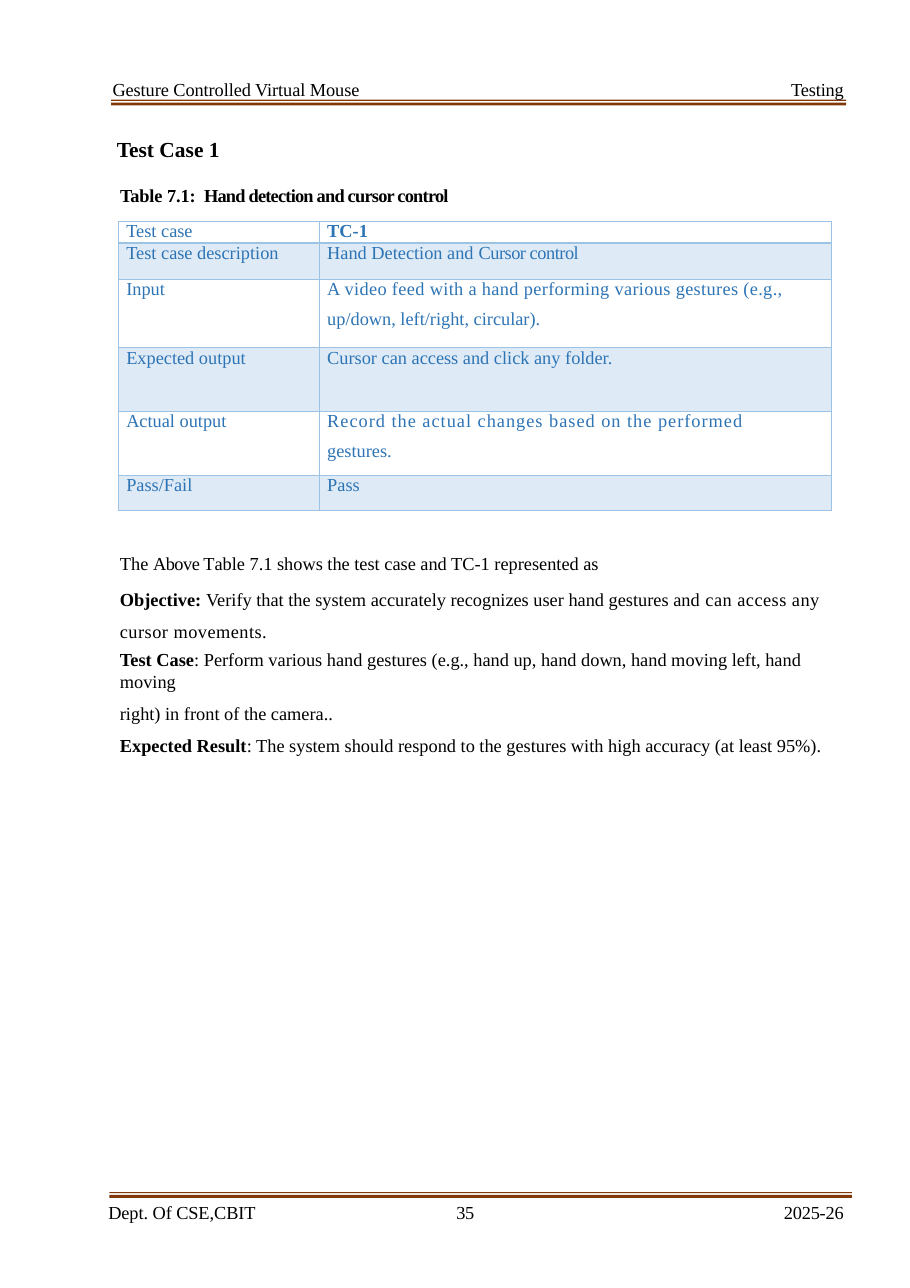
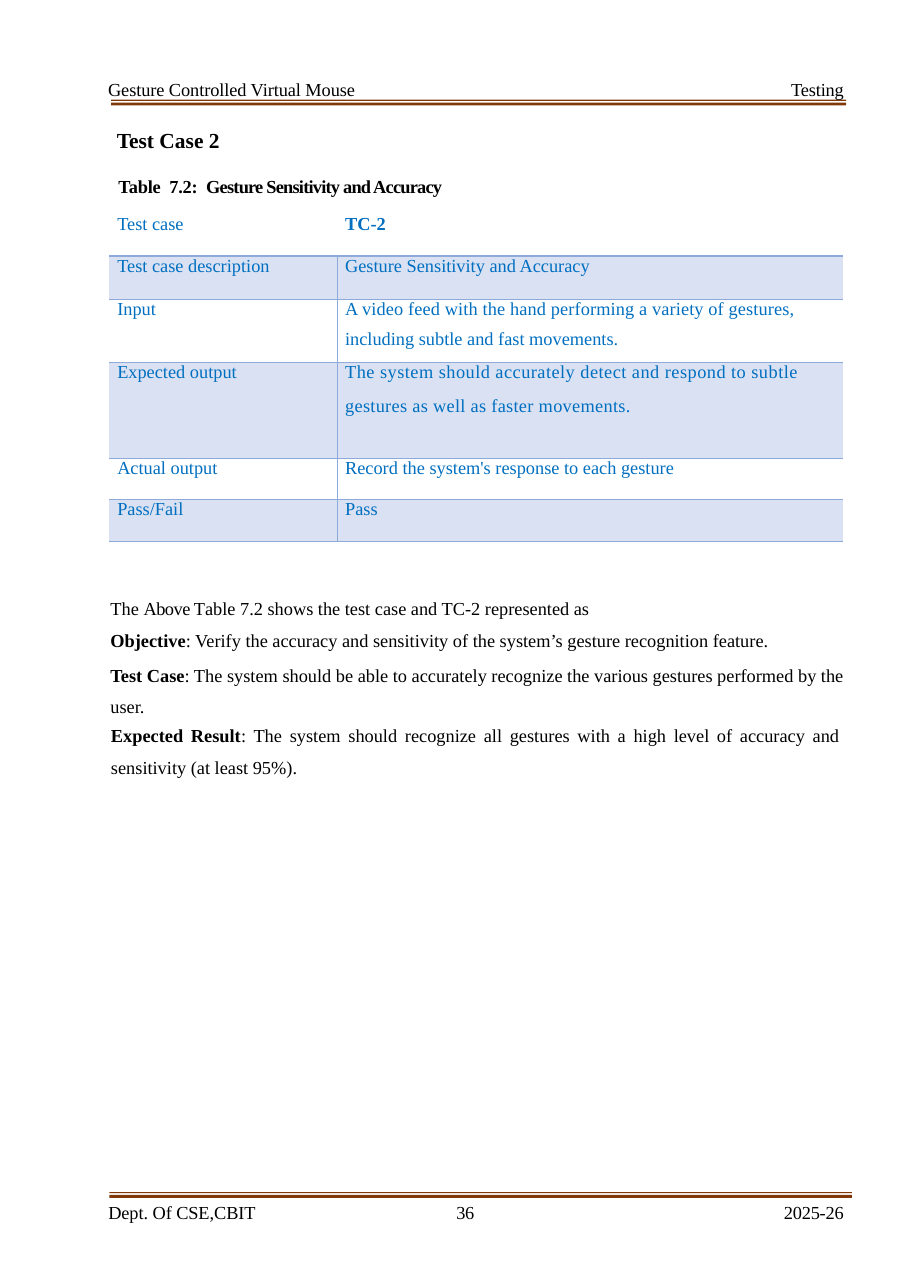
from lxml import etree
from pptx import Presentation
from pptx.dml.color import RGBColor
from pptx.enum import shapes, text
from pptx.oxml import ns
from pptx.util import Pt

LEFT, RIGHT = text.PP_ALIGN.LEFT, text.PP_ALIGN.RIGHT
CENTER, JUSTIFY = text.PP_ALIGN.CENTER, text.PP_ALIGN.JUSTIFY
LINE = 20.8  # line pitch of running text


def color(code):
    return RGBColor.from_string(code)


def write(paragraph, content, size=12, ink="000000", bold=False, spacing=0,
          align=LEFT, before=0, pitch=None):
    """Fill a paragraph with a string or with (string, run format) pairs."""
    paragraph.alignment = align
    paragraph.space_before = Pt(before)
    if pitch:
        paragraph.line_spacing = Pt(pitch)
    for words, own in [(content, {})] if isinstance(content, str) else content:
        run = paragraph.add_run()
        run.text = words
        font = run.font
        font.name, font.size = Page.FONT, Pt(size)
        font.bold = own.get("bold", bold)
        font.color.rgb = color(ink)
        run._r.get_or_add_rPr().set("spc", str(round(own.get("spacing", spacing) * 100)))


def border(cell, side, line):
    """Draw one cell edge; line is (colour, width) or None."""
    edge = etree.SubElement(cell._tc.get_or_add_tcPr(), ns.qn(f"a:ln{side}"))
    if line is None:
        etree.SubElement(edge, ns.qn("a:noFill"))
        return
    code, width = line
    edge.set("w", str(Pt(width)))
    paint = etree.SubElement(edge, ns.qn("a:solidFill"))
    etree.SubElement(paint, ns.qn("a:srgbClr")).set("val", code)


class Page:
    FONT = "Times New Roman"
    RULE = "823909"
    EDGE = 551.8  # right edge of header and footer text

    def __init__(self, deck, number, title_left):
        self.slide = deck.slides.add_slide(deck.slide_layouts[6])
        # Header
        self.rules(72.7, 65.2, 480.5)
        self.line(title_left, 51.3, 180, "Gesture Controlled Virtual Mouse", spacing=-0.05)
        self.line(self.EDGE - 80, 51.3, 80, "Testing", spacing=-0.1, align=RIGHT)
        # Footer
        self.rules(71.5, 779.3, 485.5)
        self.line(70.8, 785.1, 140, "Dept. Of CSE,CBIT", spacing=-0.05)
        self.line(284.2, 785.1, 40, str(number), spacing=-0.2, align=CENTER)
        self.line(self.EDGE - 80, 785.1, 80, "2025-26", spacing=-0.1, align=RIGHT)

    def rules(self, left, top, width):
        """A thin rule above a thick one."""
        for offset, height in ((0, 0.7), (1.9, 1.9)):
            rule = self.slide.shapes.add_shape(
                shapes.MSO_SHAPE.RECTANGLE, Pt(left), Pt(top + offset), Pt(width), Pt(height))
            rule.shadow.inherit = False
            rule.fill.solid()
            rule.fill.fore_color.rgb = color(self.RULE)
            rule.line.fill.background()

    def block(self, left, top, width, paragraphs):
        """Text box of (content, paragraph format) pairs."""
        height = LINE * len(paragraphs)
        frame = self.slide.shapes.add_textbox(
            Pt(left), Pt(top), Pt(width), Pt(height)).text_frame
        frame.word_wrap = True
        frame.margin_left = frame.margin_right = frame.margin_top = frame.margin_bottom = 0
        for index, (content, style) in enumerate(paragraphs):
            paragraph = frame.add_paragraph() if index else frame.paragraphs[0]
            write(paragraph, content, **style)

    def line(self, left, top, width, content, **style):
        self.block(left, top, width, [(content, style)])

    def headings(self, top, case, caption_left, number, topic, word_gap=0):
        self.line(76.4, top, 200, case, size=14, bold=True)
        caption = [("Table", {}), (" ", {"spacing": word_gap}), (number, {}),
                   (" ", {"spacing": 2.5}), (topic, {"spacing": -0.5})]
        self.line(caption_left, top + 31.2, 300, caption, bold=True, spacing=-0.1)

    def table(self, left, top, columns, heights, rows, ink, band, edge, thin, boxed):
        """Test case table; boxed adds the outer frame and the heading's borders."""
        grid = self.slide.shapes.add_table(
            len(rows), 2, Pt(left), Pt(top), Pt(sum(columns)), Pt(sum(heights))).table
        grid.first_row = grid.horz_banding = False
        for column, width in zip(grid.columns, columns):
            column.width = Pt(width)
        for r, (row, height) in enumerate(zip(rows, heights)):
            grid.rows[r].height = Pt(height)
            for c, lines in enumerate(row):
                cell = grid.cell(r, c)
                cell.margin_left = Pt(5.4)
                cell.margin_right = cell.margin_top = cell.margin_bottom = 0
                # Borders come before the fill in the cell properties
                hair, heavy = (edge, thin), (edge, 1.5)
                inner = boxed or r > 0
                border(cell, "L", hair if boxed or (c and inner) else None)
                border(cell, "R", hair if boxed or (not c and inner) else None)
                border(cell, "T", heavy if r == 1 else hair if inner else None)
                border(cell, "B", heavy if r == 0 else hair)
                cell.fill.solid()
                cell.fill.fore_color.rgb = color(band if r % 2 else "FFFFFF")
                for n, (words, style) in enumerate(
                        [(lines, {})] if isinstance(lines, str) else lines):
                    paragraph = cell.text_frame.add_paragraph() if n else cell.text_frame.paragraphs[0]
                    write(paragraph, words, ink=ink, bold=r == 0 and c == 1, **style)


def statement(label, *rest):
    """Bold label followed by plain runs."""
    return [(label, {"bold": True}), *((part, {}) if isinstance(part, str) else part for part in rest)]


def introduction(number):
    return [("The ", {}), ("Above T", {"spacing": -0.3}),
            (f"able 7.{number} shows the test case and TC-{number} represented as", {})]


def hand_detection(deck):
    page = Page(deck, 35, 73.6)
    page.headings(89.3, "Test Case 1", 78.5, "7.1:", "Hand detection and cursor control")
    page.table(
        77.2, 144.7, (131.4, 334.8), (14, 23.2, 45, 41.8, 41.8, 23),
        [("Test case", "TC-1"),
         ("Test case description",
          [([("Hand Detection and ", {}), ("Cursor control", {"spacing": -0.3})], {})]),
         ("Input",
          [("A video feed with a hand performing various gestures (e.g.,", {"spacing": 0.23}),
           ("up/down, left/right, circular).", {"before": 6.3})]),
         ("Expected output", "Cursor can access and click any folder."),
         ("Actual output",
          [("Record the actual changes based on the performed", {"spacing": 0.65}),
           ("gestures.", {"before": 6.3})]),
         ("Pass/Fail", "Pass")],
        ink="2D74B5", band="DEEAF6", edge="9CC2E4", thin=0.5, boxed=True)
    page.block(78.4, 354.6, 480, [
        (introduction(1), {"pitch": LINE}),
        (statement("Objective: ",
                   "Verify that the system accurately recognizes user hand gestures and ",
                   ("can access any cursor movements.", {"spacing": 0.3})),
         {"pitch": LINE, "before": 2.7}),
        (statement("Test Case", ": Perform various hand gestures (e.g., hand up, hand down, "
                   "hand moving left, hand moving"), {"pitch": 14.4, "before": 3.9}),
        ("right) in front of the camera..", {"pitch": LINE}),
        (statement("Expected Result", ": The system should respond to the gestures with "
                   "high accuracy (at least 95%)."), {"pitch": LINE})])


def gesture_sensitivity(deck):
    page = Page(deck, 36, 70.7)
    page.headings(83.4, "Test Case 2", 77.4, "7.2:", "Gesture Sensitivity and Accuracy",
                  word_gap=2.5)
    page.table(
        71.3, 139.7, (149, 330.7), (27.6, 28.4, 41.2, 62.7, 26.8, 27.4),
        [("Test case", "TC-2"),
         ("Test case description", "Gesture Sensitivity and Accuracy"),
         ("Input",
          [("A video feed with the hand performing a variety of gestures,", {"spacing": 0.08}),
           ("including subtle and fast movements.", {"before": 6.3})]),
         ("Expected output",
          [("The system should accurately detect and respond to subtle", {"spacing": 0.3}),
           ("gestures as well as faster movements.",
            {"spacing": 0.2, "pitch": LINE, "before": 1.6})]),
         ("Actual output", "Record the system's response to each gesture"),
         ("Pass/Fail", "Pass")],
        ink="006FC0", band="D9E1F3", edge="8EAADB", thin=0.25, boxed=False)
    page.block(72.2, 384, 486, [
        (introduction(2), {"pitch": LINE}),
        (statement("Objective", ": Verify the accuracy and sensitivity of the system’s "
                   "gesture recognition feature."), {"pitch": LINE}),
        (statement("Test Case", ": The system should be able to accurately recognize the "
                   "various gestures performed by the user."),
         {"pitch": LINE, "before": 1.9})])
    page.line(72.6, 467, 477, statement(
        "Expected Result", ": The system should recognize all gestures with a high level of "
        "accuracy and sensitivity (at least 95%)."), pitch=LINE, align=JUSTIFY)


def main():
    deck = Presentation()
    deck.slide_width, deck.slide_height = Pt(595), Pt(842)
    hand_detection(deck)
    gesture_sensitivity(deck)
    deck.save("out.pptx")


if __name__ == "__main__":
    main()
